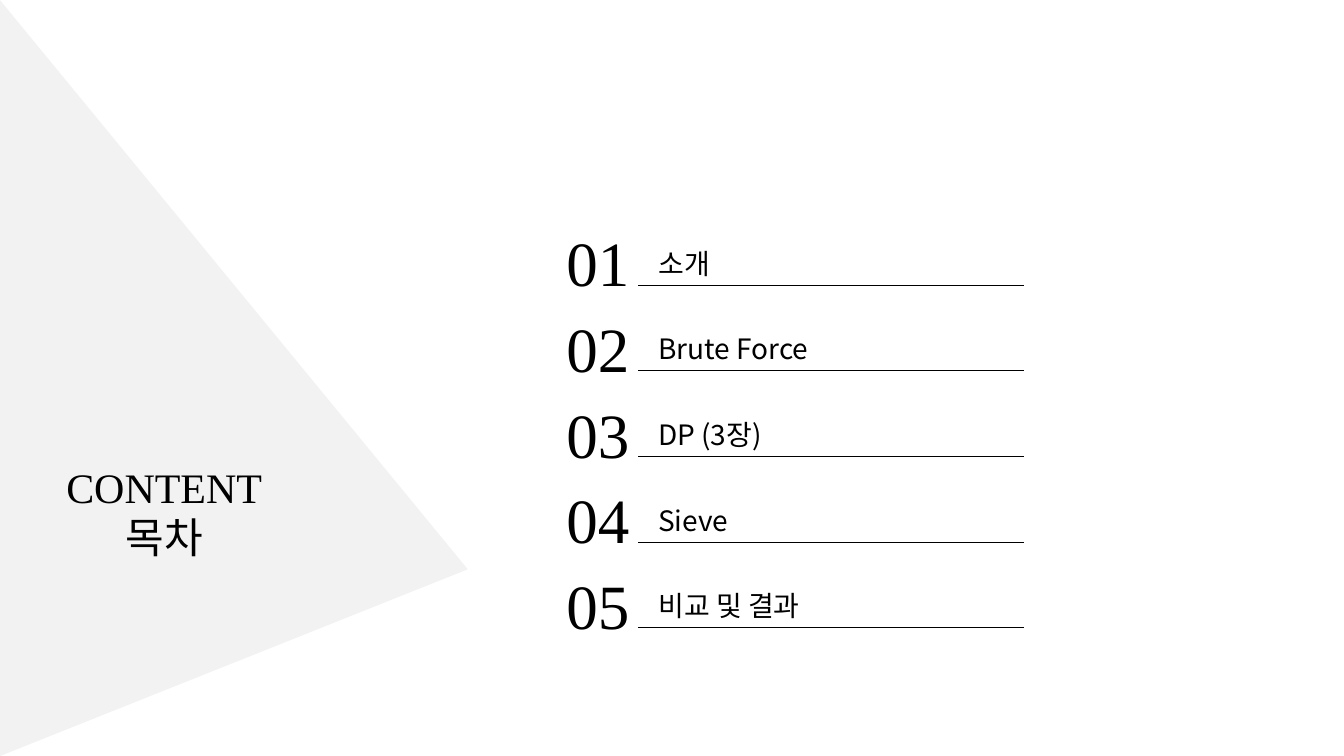
"""Build the contents slide: a grey wedge with the title and five numbered, underlined entries."""
from dataclasses import dataclass
from lxml.etree import SubElement
from pptx import Presentation
from pptx.dml.color import RGBColor
from pptx.enum.shapes import MSO_CONNECTOR, MSO_SHAPE
from pptx.enum.text import MSO_AUTO_SIZE, PP_ALIGN
from pptx.oxml.ns import qn
from pptx.slide import Slide
from pptx.util import Inches, Pt

SLIDE_WIDTH = Inches(13.33)
SLIDE_HEIGHT = Inches(7.5)


@dataclass(frozen=True)
class Theme:
    """Colours, fonts and type sizes of the slide."""
    ink: RGBColor = RGBColor(0x00, 0x00, 0x00)
    wedge: RGBColor = RGBColor(0xF2, 0xF2, 0xF2)
    serif: str = "Times New Roman"
    sans: str = "Noto Sans CJK KR"
    title_size: Pt = Pt(30)
    number_size: Pt = Pt(45)
    entry_size: Pt = Pt(20)
    rule_width: Pt = Pt(0.75)


@dataclass(frozen=True)
class Area:
    """A rectangle in percent of the slide's width and height."""
    left: float
    top: float
    width: float
    height: float

    def lengths(self) -> tuple[int, int, int, int]:
        """Return left, top, width and height as slide lengths."""
        return (across(self.left), down(self.top), across(self.width), down(self.height))


@dataclass(frozen=True)
class Entry:
    """One numbered line of the contents list."""
    number: int
    label: str

    @property
    def top(self) -> float:
        """Return the top of the row in percent of the slide's height."""
        return FIRST_ROW + (self.number - 1) * ROW_PITCH


THEME = Theme()
WEDGE_AREA = Area(-10.73, 19.07, 56.26, 61.87)
WEDGE_APEX = 0.753
TITLE_AREA = Area(3.45, 60.4, 17.55, 14.8)
FIRST_ROW, ROW_PITCH = 28.93, 11.33
NUMBER_LEFT, NUMBER_WIDTH, NUMBER_HEIGHT = 41.4, 6.9, 11.47
LABEL_LEFT, LABEL_WIDTH, LABEL_HEIGHT = 48.24, 27.9, 5.87
RULE_LEFT, RULE_RIGHT = 47.49, 76.2
LABEL_DROP, RULE_DROP = 3.0, 8.8
ENTRIES = [
    Entry(number, label)
    for number, label in enumerate(
        ["소개", "Brute Force", "DP (3장)", "Sieve", "비교 및 결과"], start=1
    )
]


def across(percent: float) -> int:
    """Convert a percentage of the slide's width to a length."""
    return round(SLIDE_WIDTH * percent / 100)


def down(percent: float) -> int:
    """Convert a percentage of the slide's height to a length."""
    return round(SLIDE_HEIGHT * percent / 100)


def apply_format(target: object, values: dict[str, object]) -> None:
    """Set each named value on the target."""
    for name, value in values.items():
        setattr(target, name, value)


def add_text(slide: Slide, area: Area, lines: list[str], font: str, size: Pt,
             alignment: PP_ALIGN = PP_ALIGN.LEFT) -> None:
    """Add a text box with one paragraph for each line."""
    frame = slide.shapes.add_textbox(*area.lengths()).text_frame
    apply_format(frame, {"word_wrap": True, "auto_size": MSO_AUTO_SIZE.SHAPE_TO_FIT_TEXT})
    for index, line in enumerate(lines):
        paragraph = frame.add_paragraph() if index else frame.paragraphs[0]
        paragraph.alignment = alignment
        run = paragraph.add_run()
        run.text = line
        apply_format(run.font, {"name": font, "size": size})
        run.font.color.rgb = THEME.ink
        SubElement(run._r.get_or_add_rPr(), qn("a:ea"), typeface=THEME.sans)


def add_wedge(slide: Slide) -> None:
    """Add the triangle that points right from the slide's left edge."""
    shape = slide.shapes.add_shape(MSO_SHAPE.ISOSCELES_TRIANGLE, *WEDGE_AREA.lengths())
    shape.rotation = 90
    shape.adjustments[0] = WEDGE_APEX
    shape.shadow.inherit = False
    shape.fill.solid()
    shape.fill.fore_color.rgb = THEME.wedge
    shape.line.fill.background()


def add_rule(slide: Slide, height: float) -> None:
    """Add the thin line under an entry."""
    connector = slide.shapes.add_connector(
        MSO_CONNECTOR.STRAIGHT,
        across(RULE_LEFT), down(height), across(RULE_RIGHT), down(height),
    )
    connector.line.color.rgb = THEME.ink
    connector.line.width = THEME.rule_width
    SubElement(connector._element.spPr, qn("a:effectLst"))


def add_entry(slide: Slide, entry: Entry) -> None:
    """Add the number, label and rule of one entry."""
    number_area = Area(NUMBER_LEFT, entry.top, NUMBER_WIDTH, NUMBER_HEIGHT)
    label_area = Area(LABEL_LEFT, entry.top + LABEL_DROP, LABEL_WIDTH, LABEL_HEIGHT)
    add_text(slide, number_area, [f"{entry.number:02d}"], THEME.serif, THEME.number_size)
    add_text(slide, label_area, [entry.label], THEME.sans, THEME.entry_size)
    add_rule(slide, entry.top + RULE_DROP)


def main() -> None:
    """Build and save the presentation."""
    presentation = Presentation()
    apply_format(presentation, {"slide_width": SLIDE_WIDTH, "slide_height": SLIDE_HEIGHT})
    slide = presentation.slides.add_slide(presentation.slide_layouts[6])
    add_wedge(slide)
    add_text(slide, TITLE_AREA, ["CONTENT", "목차"], THEME.serif, THEME.title_size,
             PP_ALIGN.CENTER)
    for entry in ENTRIES:
        add_entry(slide, entry)
    presentation.save("out.pptx")


if __name__ == "__main__":
    main()
